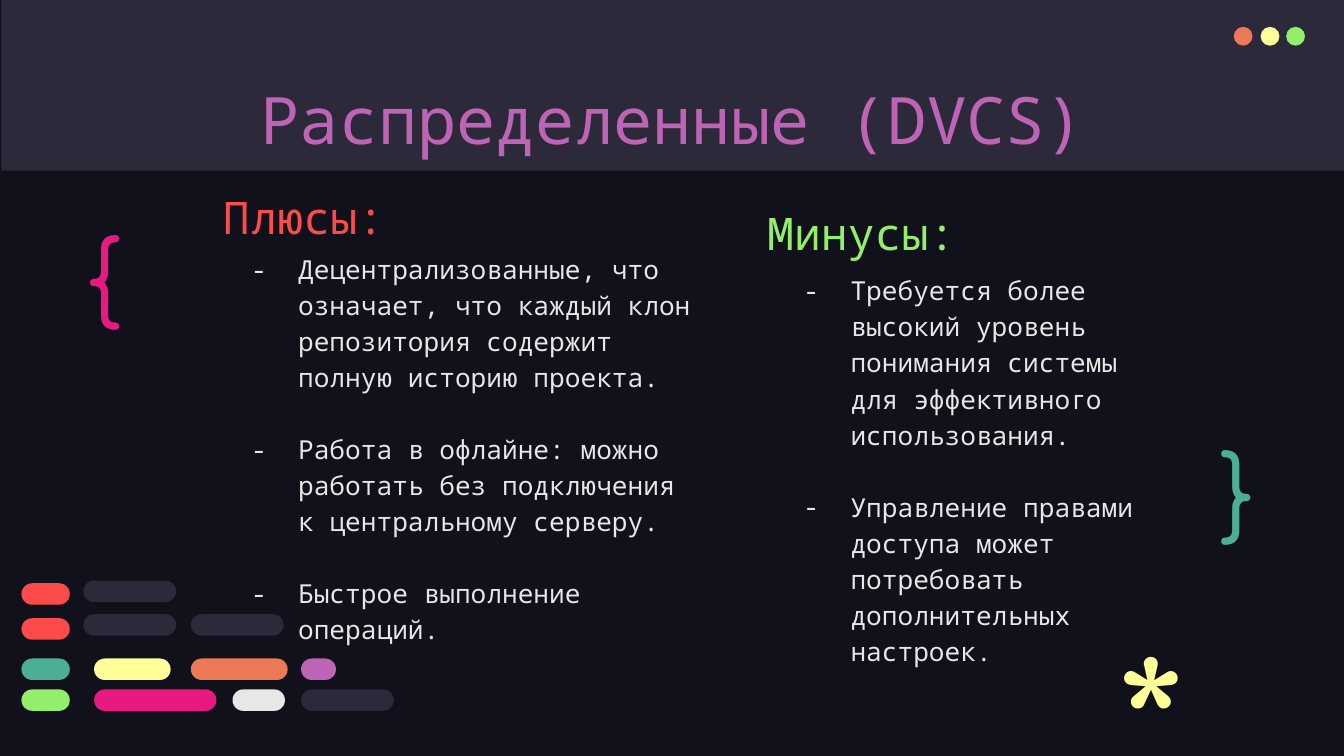
from dataclasses import dataclass

from lxml import etree
from pptx import Presentation
from pptx.dml.color import RGBColor
from pptx.enum.shapes import MSO_SHAPE
from pptx.enum.text import MSO_ANCHOR, PP_ALIGN
from pptx.oxml.ns import qn
from pptx.util import Inches, Pt

RECT, OVAL, PILL = MSO_SHAPE.RECTANGLE, MSO_SHAPE.OVAL, MSO_SHAPE.ROUNDED_RECTANGLE
TOP, MIDDLE, BOTTOM = MSO_ANCHOR.TOP, MSO_ANCHOR.MIDDLE, MSO_ANCHOR.BOTTOM
LEFT, CENTER = PP_ALIGN.LEFT, PP_ALIGN.CENTER


@dataclass(frozen=True)
class Theme:
    background: str = "10111A"
    panel: str = "2C293A"
    text: str = "E7E7E7"
    orange: str = "EC7955"
    yellow: str = "FFFF99"
    green: str = "94EE6B"
    purple: str = "BD64B5"
    red: str = "FD4A4A"
    pink: str = "E81A81"
    teal: str = "4CAE97"
    code_font: str = "Noto Sans Mono"
    symbol_font: str = "Comfortaa"
    title_size: float = 35
    heading_size: float = 24
    body_size: float = 14
    item_gap: float = 19.3
    brace_size: float = 50
    asterisk_size: float = 96
    line_spacing: float = 1.15


THEME = Theme()

PROS = [
    "Децентрализованные, что означает, что каждый клон репозитория содержит полную историю проекта.",
    "Работа в офлайне: можно работать без подключения к центральному серверу.",
    "Быстрое выполнение операций.",
]
CONS = [
    "Требуется более высокий уровень понимания системы для эффективного использования.",
    "Управление правами доступа может потребовать дополнительных настроек.",
]

# Each row of code pills: top, then (left, width, colour) of its pills
PILL_HEIGHT = 0.16
PILL_ROWS = [
    (4.34, [(0.16, 0.36, THEME.red)]),
    (4.6, [(0.16, 0.36, THEME.red)]),
    (4.9, [(0.16, 0.36, THEME.teal), (0.7, 0.57, THEME.yellow),
           (1.42, 0.72, THEME.orange), (2.24, 0.26, THEME.purple)]),
    (5.13, [(0.16, 0.36, THEME.green), (0.7, 0.91, THEME.pink),
            (1.73, 0.39, THEME.text), (2.24, 0.69, THEME.panel)]),
    (4.57, [(0.62, 0.69, THEME.panel), (1.42, 0.69, THEME.panel)]),
    (4.32, [(0.62, 0.69, THEME.panel)]),
]


def add_block(shapes, kind, box, color):
    block = shapes.add_shape(kind, *map(Inches, box))
    block.shadow.inherit = False
    block.fill.solid()
    block.fill.fore_color.rgb = RGBColor.from_string(color)
    block.line.fill.background()
    return block


def add_text(slide, box, lines, size, color, font=THEME.code_font,
             anchor=TOP, align=LEFT, spacing=1.0):
    frame = slide.shapes.add_textbox(*map(Inches, box)).text_frame
    frame.word_wrap = True
    frame.vertical_anchor = anchor
    frame.margin_left = frame.margin_right = Inches(0.1)
    frame.margin_top = frame.margin_bottom = Inches(0.1)
    frame.text = "\n".join(lines)
    for paragraph in frame.paragraphs:
        paragraph.alignment = align
        paragraph.line_spacing = spacing
        for run in paragraph.runs:
            run.font.name = font
            run.font.size = Pt(size)
            run.font.color.rgb = RGBColor.from_string(color)
    return frame


def add_dash(paragraph):
    """Give the paragraph a hanging dash bullet."""
    properties = paragraph._p.get_or_add_pPr()
    properties.set("marL", str(Inches(0.5)))
    properties.set("indent", str(Inches(-0.35)))
    bullet_color = etree.SubElement(properties, qn("a:buClr"))
    etree.SubElement(bullet_color, qn("a:srgbClr"), val=THEME.text)
    etree.SubElement(properties, qn("a:buFont"), typeface=THEME.code_font)
    etree.SubElement(properties, qn("a:buChar"), char="-")


def add_list(slide, box, items):
    frame = add_text(slide, box, items, THEME.body_size, THEME.text,
                     spacing=THEME.line_spacing)
    for index, paragraph in enumerate(frame.paragraphs):
        if index:
            paragraph.space_before = Pt(THEME.item_gap)
        add_dash(paragraph)


def add_heading(slide, left, top, text, color):
    add_text(slide, (left, top, 3.05, 0.61), [text], THEME.heading_size, color,
             anchor=BOTTOM, spacing=THEME.line_spacing)


def add_symbol(slide, box, symbol, size, color, anchor=TOP):
    add_text(slide, box, [symbol], size, color, THEME.symbol_font, anchor)


def add_window_header(slide):
    add_block(slide.shapes, RECT, (0.01, 0, 10, 1.27), THEME.panel)
    buttons = slide.shapes.add_group_shape().shapes
    for left, color in [(9.18, THEME.orange), (9.38, THEME.yellow), (9.57, THEME.green)]:
        add_block(buttons, OVAL, (left, 0.2, 0.14, 0.14), color)


def add_code_pills(slide):
    pills = slide.shapes.add_group_shape().shapes
    for top, row in PILL_ROWS:
        for left, width, color in row:
            pill = add_block(pills, PILL, (left, top, width, PILL_HEIGHT), color)
            pill.adjustments[0] = 0.5


def main():
    presentation = Presentation()
    presentation.slide_width = Inches(10)
    presentation.slide_height = Inches(10) * 9 // 16
    slide = presentation.slides.add_slide(presentation.slide_layouts[6])
    slide.background.fill.solid()
    slide.background.fill.fore_color.rgb = RGBColor.from_string(THEME.background)

    add_window_header(slide)
    add_text(slide, (0.79, 0.49, 8.43, 0.63), ["Распределенные (DVCS)"],
             THEME.title_size, THEME.purple, align=CENTER)
    add_list(slide, (5.73, 1.91, 3.05, 1.62), CONS)
    add_list(slide, (1.62, 1.75, 3.67, 1.62), PROS)
    add_heading(slide, 1.56, 1.3, "Плюсы:", THEME.red)
    add_heading(slide, 5.61, 1.42, "Минусы:", THEME.green)
    add_symbol(slide, (0.54, 1.5, 0.77, 0.95), "{", THEME.brace_size, THEME.pink)
    add_symbol(slide, (8.98, 3.2, 0.57, 0.83), "}", THEME.brace_size, THEME.teal, MIDDLE)
    add_code_pills(slide)
    add_symbol(slide, (8.21, 4.5, 0.57, 0.87), "*", THEME.asterisk_size, THEME.yellow)

    presentation.save("out.pptx")


if __name__ == "__main__":
    main()
